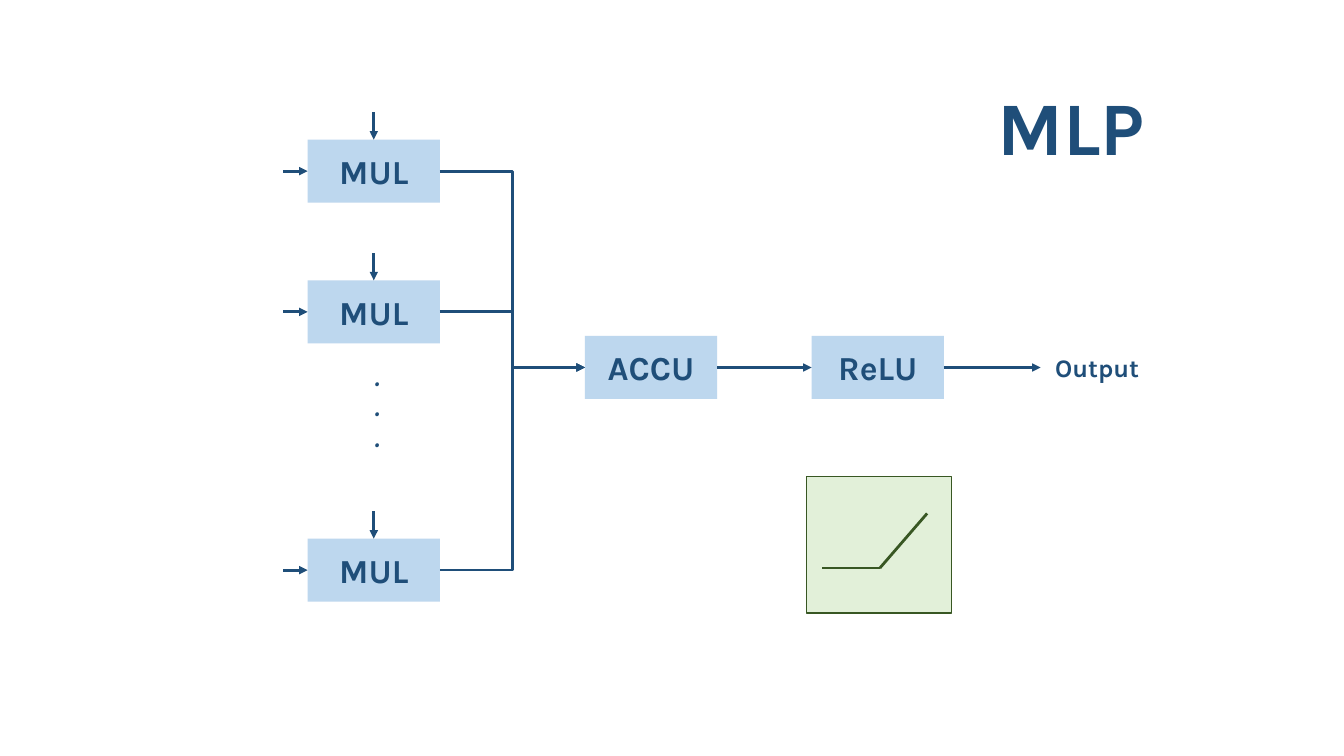
from pptx import Presentation
from pptx.dml.color import RGBColor
from pptx.enum.shapes import MSO_CONNECTOR, MSO_SHAPE
from pptx.enum.text import MSO_ANCHOR, PP_ALIGN
from pptx.oxml.ns import qn
from pptx.util import Pt
from lxml.etree import SubElement

PX = 9525
NAVY, SKY, MINT, LEAF = "1F4E79", "BDD7EE", "E2F0D9", "385723"
WIDE, HIGH = 126, 60


def px(*sizes):
    """Turn px lengths into EMU."""
    return [size * PX for size in sizes]


def tint(code):
    """Turn a hex string into a colour."""
    return RGBColor.from_string(code)


def write(shape, lines, size, slant=None):
    """Centre bold lines of text in a shape."""
    frame = shape.text_frame
    frame.word_wrap = True
    frame.vertical_anchor = MSO_ANCHOR.MIDDLE
    for i, line in enumerate(lines):
        para = frame.add_paragraph() if i else frame.paragraphs[0]
        para.alignment = PP_ALIGN.CENTER
        run = para.add_run()
        run.text = line
        font = run.font
        font.name, font.size = "Karla", Pt(size)
        font.bold, font.italic = True, slant
        font.color.rgb = tint(NAVY)


def label(slide, box, lines, size, slant=None):
    """Add a text box."""
    write(slide.shapes.add_textbox(*px(*box)), lines, size, slant)


def panel(slide, box, fill, edge=None):
    """Add a filled rectangle, with an outline if one is given."""
    shape = slide.shapes.add_shape(MSO_SHAPE.RECTANGLE, *px(*box))
    shape.shadow.inherit = False
    shape.fill.solid()
    shape.fill.fore_color.rgb = tint(fill)
    if edge:
        shape.line.color.rgb = tint(edge)
        shape.line.width = Pt(1)
    else:
        shape.line.fill.background()
    return shape


def node(slide, left, top, name):
    """Add a named block of the common size."""
    shape = panel(slide, (left, top, WIDE, HIGH), SKY)
    write(shape, [name], 24)
    return shape


def wire(slide, ends, color=NAVY, head=True, kind=MSO_CONNECTOR.STRAIGHT):
    """Draw a line, with an arrowhead if asked."""
    link = slide.shapes.add_connector(kind, *px(*ends))
    link.line.color.rgb = tint(color)
    link.line.width = Pt(2)
    if head:
        SubElement(link.line._get_or_add_ln(), qn("a:tailEnd"), type="triangle")
    SubElement(link._element.spPr, qn("a:effectLst"))
    return link


def join(slide, start, end, kind=MSO_CONNECTOR.STRAIGHT):
    """Link the right side of one block to the left side of another."""
    link = wire(slide, (0, 0, 0, 0), kind=kind)
    link.begin_connect(start, 3)
    link.end_connect(end, 1)


def mul(slide, left, top):
    """Add a multiplier block with its two input arrows."""
    shape = node(slide, left, top, "MUL")
    mid, row = left + WIDE // 2, top + HIGH // 2
    wire(slide, (mid, top - 26, mid, top))
    wire(slide, (left - 23, row, left, row))
    return shape


def graph(slide, left, top):
    """Add the panel that shows the ReLU curve."""
    panel(slide, (left, top, 138, 130), MINT, LEAF)
    curve = [(left + x, top + y) for x, y in ((15, 87), (70, 87), (115, 35))]
    for start, end in zip(curve, curve[1:]):
        wire(slide, start + end, LEAF, head=False)


def flow(slide, left, top):
    """Add the multipliers, the sum, the ReLU and the output."""
    muls = [mul(slide, left, top + drop) for drop in (0, 134, 380)]
    label(slide, (left + 3, top + 205, WIDE, 99), "...", 18, True)
    row = top + 187
    accu = node(slide, left + 264, row, "ACCU")
    for shape in muls:
        join(slide, shape, accu, MSO_CONNECTOR.ELBOW)
    relu = node(slide, left + 480, row, "ReLU")
    join(slide, accu, relu)
    out, mid = left + 698, row + HIGH // 2
    label(slide, (out, row, 108, HIGH), ["Output"], 18)
    wire(slide, (left + 480 + WIDE, mid, out, mid))


def main():
    """Build and save the slide."""
    deck = Presentation()
    deck.slide_width, deck.slide_height = px(1280, 720)
    slide = deck.slides.add_slide(deck.slide_layouts[6])
    flow(slide, 293, 133)
    label(slide, (900, 72, 240, 95), ["MLP"], 54)
    graph(slide, 768, 454)
    deck.save("out.pptx")


if __name__ == "__main__":
    main()
